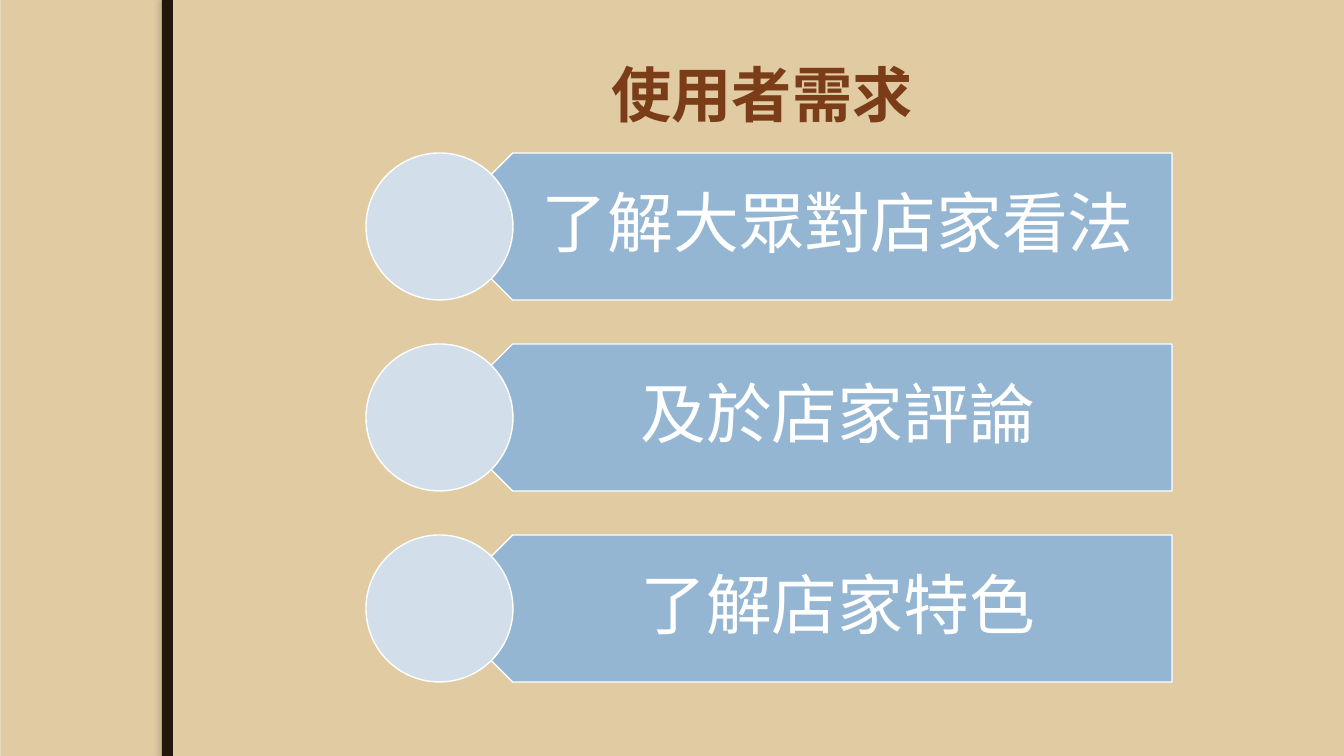
import dataclasses
import lxml.etree
import pptx
import pptx.dml.color
import pptx.enum.shapes
import pptx.enum.text
import pptx.oxml
import pptx.oxml.ns
import pptx.util

SCALE = 914400 / 100.8
KIND = pptx.enum.shapes.MSO_SHAPE
NEEDS = ["了解大眾對店家看法", "及於店家評論", "了解店家特色"]


@dataclasses.dataclass(frozen=True)
class Theme:
    back: str = "EBDDC3"
    sand: str = "E0CBA3"
    dark: str = "20190B"
    shade: str = "766E60"
    brown: str = "7B3D17"
    blue: str = "94B6D2"
    pale: str = "D2DEEA"
    white: str = "FFFFFF"
    head: str = "Noto Sans CJK TC"
    body: str = "TeX Gyre Adventor"
    large: int = 43
    huge: int = 47


THEME = Theme()


def px(num):
    return pptx.util.Emu(round(num * SCALE))


def rgb(code):
    return pptx.dml.color.RGBColor.from_string(code)


def shape(slide, kind, box, fill, line=None):
    item = slide.shapes.add_shape(kind, *map(px, box))
    item.shadow.inherit = False
    item.fill.solid()
    item.fill.fore_color.rgb = rgb(fill)
    if line:
        item.line.color.rgb = rgb(line)
        item.line.width = pptx.util.Pt(1)
    else:
        item.line.fill.background()
    return item


def label(slide, box, text, font, size, color, bold=False, pads=(10, 5, 10, 5)):
    frame = slide.shapes.add_textbox(*map(px, box)).text_frame
    frame.word_wrap = True
    frame.vertical_anchor = pptx.enum.text.MSO_ANCHOR.MIDDLE
    (frame.margin_left, frame.margin_top,
     frame.margin_right, frame.margin_bottom) = map(px, pads)
    frame.text = text
    para = frame.paragraphs[0]
    para.alignment = pptx.enum.text.PP_ALIGN.CENTER
    run = para.runs[0]
    run.font.name = font
    run.font.size = pptx.util.Pt(size)
    run.font.bold = bold
    run.font.color.rgb = rgb(color)
    east = lxml.etree.SubElement(run.font._element, pptx.oxml.ns.qn("a:ea"))
    east.set("typeface", font)
    return para


def shadow(item):
    props = item._element.spPr
    props.remove(props.find(pptx.oxml.ns.qn("a:effectLst")))
    props.append(pptx.oxml.parse_xml(
        f'<a:effectLst {pptx.oxml.ns.nsdecls("a")}>'
        '<a:outerShdw blurRad="38100" dist="38100" dir="10800000">'
        f'<a:srgbClr val="{THEME.shade}"><a:alpha val="25000"/></a:srgbClr>'
        '</a:outerShdw></a:effectLst>'))


def backdrop(slide, box):
    left, top, width, height = box
    slide.background.fill.solid()
    slide.background.fill.fore_color.rgb = rgb(THEME.back)
    shape(slide, KIND.RECTANGLE, (left + 1, top, width - 1, height), THEME.sand)
    shadow(shape(slide, KIND.RECTANGLE, (left + 162, top, 11, height), THEME.dark))


def title(slide, box, text):
    label(slide, box, text, THEME.head, THEME.large, THEME.brown, bold=True)


def need(slide, box, text):
    left, top, width, height = box
    half, inset = height // 2, height * 3 // 4
    plate = shape(slide, KIND.PENTAGON, (left + half, top, width - half, height),
                  THEME.blue, THEME.white)
    plate.rotation = 180
    para = label(slide, (left + inset, top, width - inset, height), text,
                 THEME.body, THEME.huge, THEME.white, pads=(64, 20, 36, 20))
    para.line_spacing = 0.9
    shape(slide, KIND.OVAL, (left, top, height, height), THEME.pale, THEME.white)


def needs(slide, box, texts):
    left, top, width, height = box
    tall = 147
    step = (height - tall) // (len(texts) - 1)
    for row, text in enumerate(texts):
        need(slide, (left, top + row * step, width, tall), text)


def main():
    deck = pptx.Presentation()
    deck.slide_width, deck.slide_height = px(1344), px(756)
    slide = deck.slides.add_slide(deck.slide_layouts[6])
    backdrop(slide, (0, 0, 1344, 756))
    title(slide, (211, 30, 1102, 126), "使用者需求")
    needs(slide, (366, 153, 806, 529), NEEDS)
    deck.save("out.pptx")


if __name__ == "__main__":
    main()
